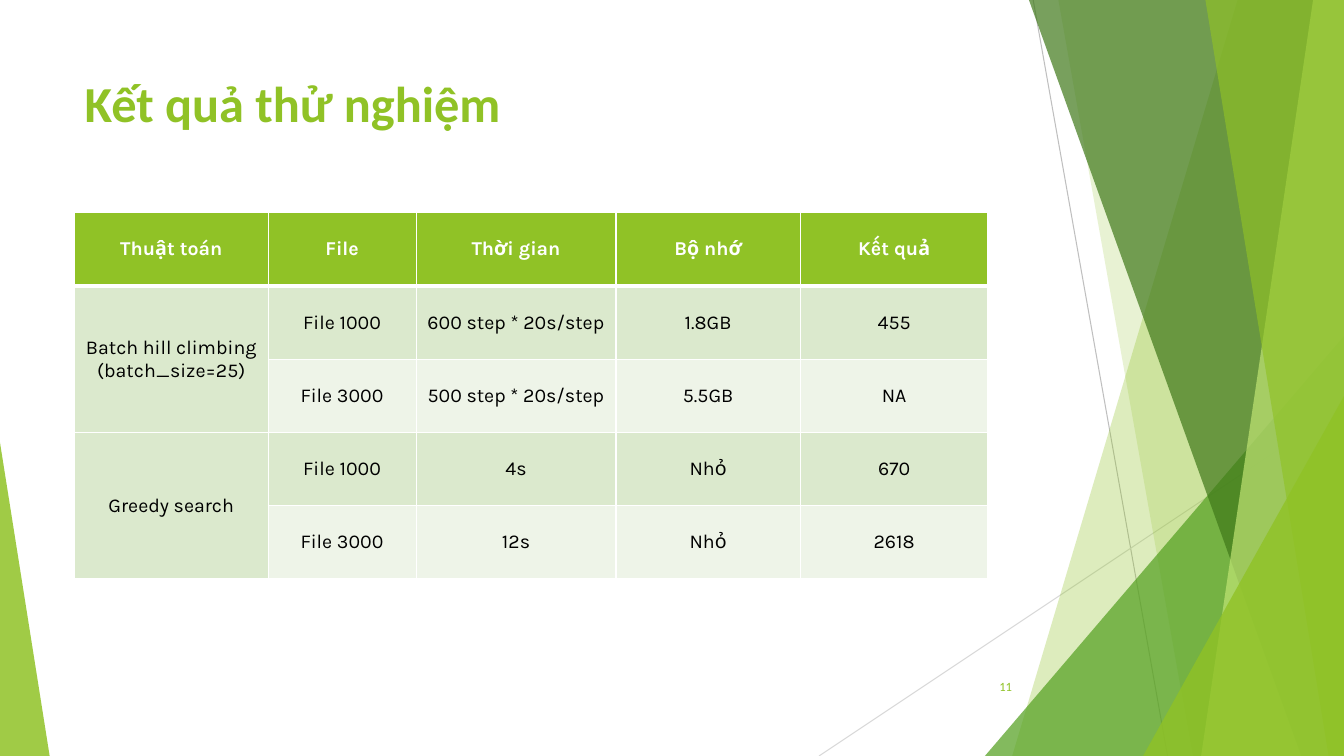
from dataclasses import dataclass

from lxml import etree
from pptx import Presentation
from pptx.dml.color import RGBColor
from pptx.enum.shapes import MSO_CONNECTOR, MSO_SHAPE
from pptx.enum.text import MSO_ANCHOR, PP_ALIGN
from pptx.oxml.ns import qn
from pptx.util import Pt

STRAIGHT = MSO_CONNECTOR.STRAIGHT
TRIANGLE = MSO_SHAPE.ISOSCELES_TRIANGLE
TOP, MIDDLE = MSO_ANCHOR.TOP, MSO_ANCHOR.MIDDLE
LEFT, CENTER, RIGHT = PP_ALIGN.LEFT, PP_ALIGN.CENTER, PP_ALIGN.RIGHT


@dataclass(frozen=True)
class Theme:
    lime: str = "90C226"
    green: str = "54A021"
    forest: str = "3F7819"
    pale: str = "C0E474"
    band_dark: str = "DBE9CD"
    band_light: str = "EEF4E8"
    white: str = "FFFFFF"
    black: str = "000000"
    line_dark: str = "BFBFBF"
    line_light: str = "D9D9D9"
    heading_font: str = "Calibri"
    table_font: str = "Karla"
    title_size: float = 36
    table_size: float = 14
    number_size: float = 9


THEME = Theme()
SLIDE_BOX = (0, 0, 960, 540)
TITLE_BOX = (53.25, 48, 677, 104)
TABLE_BOX = (53.25, 152, 652.5, 261.5)
NUMBER_BOX = (676, 476, 54, 28.75)

LINES = [
    (738, 0, 834, 540, THEME.line_dark),
    (960, 290, 585, 540, THEME.line_light),
]
WEDGES_BEHIND = [(884, 723, THEME.lime, 30), (756, 852, THEME.lime, 20)]
WEDGES_FRONT = [
    (735, 929.5, THEME.forest, 70),
    (938, 858, THEME.pale, 70),
    (861, 949, THEME.lime, 65),
]
LARGE_CORNER = (703.5, 240, 256.5, 1, THEME.green, 72)
SMALL_CORNERS = [
    (816.5, 283, 143.5, 1, THEME.lime, 80),
    (0, 316, 35.5, 0, THEME.lime, 85),
]

HEADERS = ["Thuật toán", "File", "Thời gian", "Bộ nhớ", "Kết quả"]
RESULTS = [
    ("Batch hill climbing (batch_size=25)", [
        ["File 1000", "600 step * 20s/step", "1.8GB", "455"],
        ["File 3000", "500 step * 20s/step", "5.5GB", "NA"],
    ]),
    ("Greedy search", [
        ["File 1000", "4s", "Nhỏ", "670"],
        ["File 3000", "12s", "Nhỏ", "2618"],
    ]),
]
COLUMN_WIDTHS = [138.25, 105.75, 142.75, 131.75, 134]


def write(frame, text, align, anchor, color, **font_format):
    frame.word_wrap = True
    frame.vertical_anchor = anchor
    paragraph = frame.paragraphs[0]
    paragraph.alignment = align
    run = paragraph.add_run()
    run.text = text
    for name, value in font_format.items():
        setattr(run.font, name, value)
    run.font.color.rgb = RGBColor.from_string(color)


def paint(facet, color, opacity):
    facet.shadow.inherit = False
    facet.line.fill.background()
    facet.fill.solid()
    facet.fill.fore_color.rgb = RGBColor.from_string(color)
    tint = facet.fill._xPr.find(qn("a:solidFill"))[0]
    etree.SubElement(tint, qn("a:alpha")).set("val", str(opacity * 1000))


def add_line(slide, box, x1, y1, x2, y2, color):
    left, top, _, _ = box
    line = slide.shapes.add_connector(
        STRAIGHT, Pt(left + x1), Pt(top + y1), Pt(left + x2), Pt(top + y2))
    line.line.width = Pt(0.75)
    line.line.color.rgb = RGBColor.from_string(color)
    etree.SubElement(line._element.spPr, qn("a:effectLst"))


def add_wedge(slide, box, top_x, bottom_x, color, opacity):
    left, top, width, height = box
    outline = slide.shapes.build_freeform(Pt(left + top_x), Pt(top))
    outline.add_line_segments([
        (Pt(left + width), Pt(top)),
        (Pt(left + width), Pt(top + height)),
        (Pt(left + bottom_x), Pt(top + height)),
    ], close=True)
    paint(outline.convert_to_shape(), color, opacity)


def add_corner(slide, box, x, y, width, apex, color, opacity):
    left, top, _, height = box
    corner = slide.shapes.add_shape(
        TRIANGLE, Pt(left + x), Pt(top + y), Pt(width), Pt(height - y))
    corner.adjustments[0] = apex
    paint(corner, color, opacity)


def add_backdrop(slide, box):
    for line in LINES:
        add_line(slide, box, *line)
    for wedge in WEDGES_BEHIND:
        add_wedge(slide, box, *wedge)
    add_corner(slide, box, *LARGE_CORNER)
    for wedge in WEDGES_FRONT:
        add_wedge(slide, box, *wedge)
    for corner in SMALL_CORNERS:
        add_corner(slide, box, *corner)


def add_title(slide, box):
    title = slide.shapes.title
    for name, value in zip(("left", "top", "width", "height"), box):
        setattr(title, name, Pt(value))
    write(title.text_frame, "Kết quả thử nghiệm", LEFT, TOP, THEME.lime,
          name=THEME.heading_font, size=Pt(THEME.title_size), bold=True)


def add_page_number(slide, box):
    number = slide.shapes.add_textbox(*map(Pt, box))
    write(number.text_frame, "11", RIGHT, MIDDLE, THEME.lime,
          name=THEME.heading_font, size=Pt(THEME.number_size))


def set_borders(cell, widths):
    properties = cell._tc.get_or_add_tcPr()
    for index, (side, width) in enumerate(widths.items()):
        border = etree.Element(qn(f"a:ln{side}"), w=str(Pt(width)))
        solid = etree.SubElement(border, qn("a:solidFill"))
        etree.SubElement(solid, qn("a:srgbClr")).set("val", THEME.white)
        properties.insert(index, border)


def add_results_table(slide, box):
    rows = [HEADERS]
    for algorithm, runs in RESULTS:
        rows += [[algorithm if i == 0 else "", *run] for i, run in enumerate(runs)]
    table = slide.shapes.add_table(
        len(rows), len(HEADERS), *map(Pt, box)).table
    for column, width in zip(table.columns, COLUMN_WIDTHS):
        column.width = Pt(width)
    for r, values in enumerate(rows):
        table.rows[r].height = Pt(box[3] / len(rows))
        header = r == 0
        band = THEME.band_dark if r % 2 else THEME.band_light
        for c, value in enumerate(values):
            cell = table.cell(r, c)
            cell.fill.solid()
            cell.fill.fore_color.rgb = RGBColor.from_string(
                THEME.lime if header else band)
            set_borders(cell, {"L": 1, "R": 1, "T": 3 if r == 1 else 1,
                               "B": 3 if header else 1})
            cell.vertical_anchor = MIDDLE
            if value:
                write(cell.text_frame, value, CENTER, MIDDLE,
                      THEME.white if header else THEME.black,
                      name=THEME.table_font, size=Pt(THEME.table_size),
                      bold=header)
    first = 1
    for _, runs in RESULTS:
        last = first + len(runs) - 1
        table.cell(first, 0).merge(table.cell(last, 0))
        first = last + 1


def build_results_slide(deck, box):
    slide = deck.slides.add_slide(deck.slide_layouts[5])
    add_backdrop(slide, box)
    add_title(slide, TITLE_BOX)
    add_page_number(slide, NUMBER_BOX)
    add_results_table(slide, TABLE_BOX)


deck = Presentation()
deck.slide_width, deck.slide_height = map(Pt, SLIDE_BOX[2:])
build_results_slide(deck, SLIDE_BOX)
deck.save("out.pptx")
